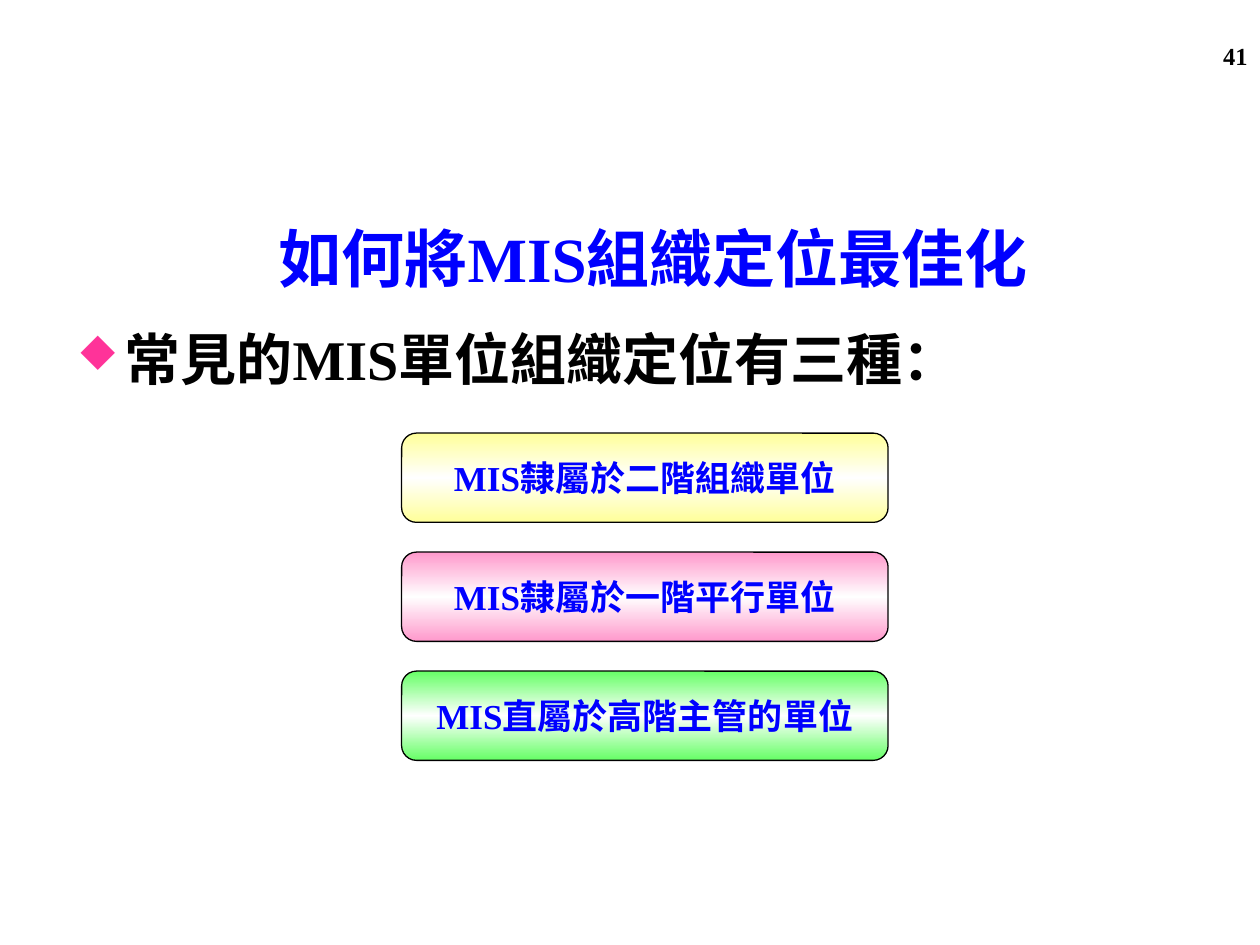
import copy

import pptx
import pptx.dml.color
import pptx.enum.shapes
import pptx.enum.text
import pptx.oxml
import pptx.oxml.ns
import pptx.util

Pt = pptx.util.Pt
RGBColor = pptx.dml.color.RGBColor
ALIGN = pptx.enum.text.PP_ALIGN
ANCHOR = pptx.enum.text.MSO_ANCHOR

BLACK = RGBColor(0x00, 0x00, 0x00)
WHITE = RGBColor(0xFF, 0xFF, 0xFF)
BLUE = RGBColor(0x00, 0x00, 0xFF)
YELLOW = RGBColor(0xFF, 0xFF, 0x99)
PINK = RGBColor(0xFF, 0x99, 0xCC)
GREEN = RGBColor(0x66, 0xFF, 0x66)
BULLET_COLOR = "FF3399"
FONT = "Times New Roman"

POSITIONS = [
    ("MIS隸屬於二階組織單位", YELLOW),
    ("MIS隸屬於一階平行單位", PINK),
    ("MIS直屬於高階主管的單位", GREEN),
]
FIRST_TOP, PITCH = 247.5, 68


def write_text(frame, text, size, color, align):
    para = frame.paragraphs[0]
    para.text = text
    para.alignment = align
    para.font.name = FONT
    para.font.size = Pt(size)
    para.font.bold = True
    para.font.color.rgb = color
    return para


def add_label(page, area, text, size, color, align, anchor=ANCHOR.TOP):
    box = page.shapes.add_textbox(*(Pt(length) for length in area))
    box.text_frame.word_wrap = True
    box.text_frame.vertical_anchor = anchor
    return write_text(box.text_frame, text, size, color, align)


def add_diamond_bullet(para, indent):
    properties = para._p.get_or_add_pPr()
    properties.set("marL", str(Pt(indent)))
    properties.set("indent", str(-Pt(indent)))
    namespace = pptx.oxml.ns.nsdecls("a")
    bullet_parts = [
        f'<a:buClr {namespace}><a:srgbClr val="{BULLET_COLOR}"/></a:buClr>',
        f'<a:buSzPct {namespace} val="75000"/>',
        f'<a:buFont {namespace} typeface="Wingdings" charset="2"/>',
        f'<a:buChar {namespace} char="u"/>',
    ]
    # Bullet settings stand before the default run properties
    for part in bullet_parts:
        properties.find(pptx.oxml.ns.qn("a:defRPr")).addprevious(pptx.oxml.parse_xml(part))


def fill_with_white_band(shape, color):
    shape.fill.gradient()
    shape.fill.gradient_angle = 90
    first, last = shape.fill.gradient_stops
    first.position, last.position = 0, 1
    first.color.rgb = WHITE
    last.color.rgb = color
    stops = shape._element.spPr.find(".//" + pptx.oxml.ns.qn("a:gsLst"))
    middle = copy.deepcopy(stops[0])
    middle.set("pos", "50000")
    stops.insert(1, middle)
    first.color.rgb = color


def add_position_box(page, top, text, color):
    box = page.shapes.add_shape(
        pptx.enum.shapes.MSO_SHAPE.ROUNDED_RECTANGLE,
        Pt(229.5), Pt(top), Pt(278), Pt(51))
    box.shadow.inherit = False
    box.line.color.rgb = BLACK
    box.line.width = Pt(0.75)
    fill_with_white_band(box, color)
    box.text_frame.word_wrap = False
    box.text_frame.vertical_anchor = ANCHOR.MIDDLE
    write_text(box.text_frame, text, 20, BLUE, ALIGN.CENTER)


def main():
    deck = pptx.Presentation()
    deck.slide_width, deck.slide_height = Pt(720), Pt(540)
    page = deck.slides.add_slide(deck.slide_layouts[6])

    # Page number and title
    add_label(page, (552, 20, 168, 37.5), "41", 14, BLACK, ALIGN.RIGHT)
    add_label(page, (101.5, 118, 543.5, 58.5), "如何將MIS組織定位最佳化",
              36, BLUE, ALIGN.CENTER, ANCHOR.MIDDLE)

    # Lead sentence
    lead = add_label(page, (37, 196.5, 648, 34), "常見的MIS單位組織定位有三種：",
                     32, BLACK, ALIGN.LEFT)
    lead.line_spacing = Pt(24)
    lead.space_before = Pt(12)
    add_diamond_bullet(lead, 27)

    # The three positions
    for index, (text, color) in enumerate(POSITIONS):
        add_position_box(page, FIRST_TOP + index * PITCH, text, color)

    deck.save("out.pptx")


if __name__ == "__main__":
    main()
